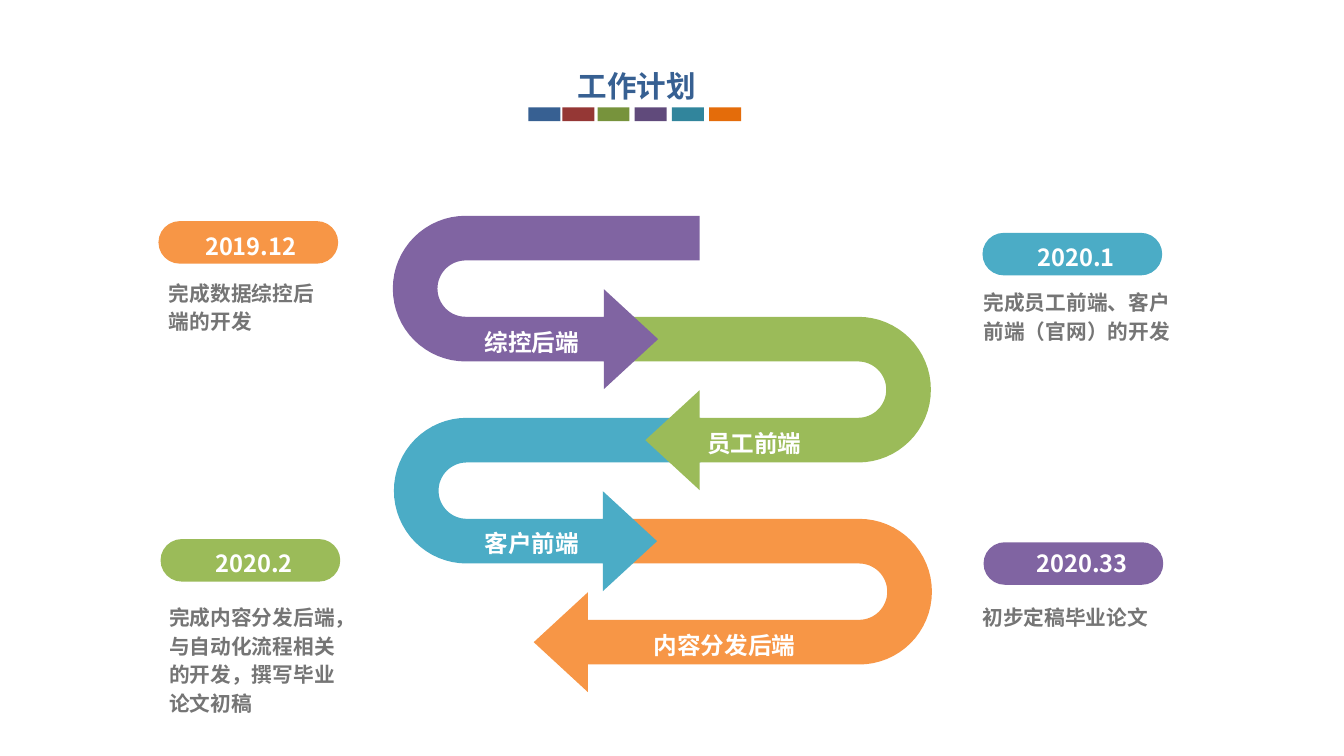
from math import cos, pi, sin

from lxml.etree import SubElement
from pptx import Presentation
from pptx.dml.color import RGBColor
from pptx.enum.shapes import MSO_SHAPE as SHAPE
from pptx.enum.text import PP_ALIGN as ALIGN
from pptx.oxml.ns import qn
from pptx.util import Inches, Pt

FONT = "Noto Sans CJK SC"
COLORS = {
    "navy": "376092", "red": "953735", "olive": "77933C",
    "plum": "604A7B", "sea": "31859C", "rust": "E46C0A",
    "purple": "8064A2", "green": "9BBB59", "teal": "4BACC6",
    "orange": "F79646", "gray": "757575", "white": "FFFFFF",
}

# Ribbon geometry, in inches
BAND = 0.42
TURN_HEIGHT = 1.37
RADIUS = TURN_HEIGHT / 2
HEAD_LENGTH, HEAD_HEIGHT = 0.51, 0.94
FIRST_TOP, STEP = 2.03, 0.95


def paint(sp, color):
    sp.shadow.inherit = False
    sp.fill.solid()
    sp.fill.fore_color.rgb = RGBColor.from_string(COLORS[color])
    sp.line.fill.background()


def add_block(s, kind, x, y, w, h, color):
    sp = s.shapes.add_shape(kind, Inches(x), Inches(y), Inches(w), Inches(h))
    paint(sp, color)
    return sp


def add_label(s, text, x, y, w, h, size, color, align=ALIGN.LEFT):
    box = s.shapes.add_textbox(Inches(x), Inches(y), Inches(w), Inches(h))
    tf = box.text_frame
    tf.word_wrap = True
    tf.margin_left = tf.margin_right = Inches(0.03)
    tf.margin_top = tf.margin_bottom = Inches(0.01)
    tf.text = text
    p = tf.paragraphs[0]
    p.alignment = align
    p.line_spacing = 1.16
    r = p.runs[0]
    r.font.size = Pt(size)
    r.font.bold = True
    r.font.name = FONT
    r.font.color.rgb = RGBColor.from_string(COLORS[color])
    SubElement(r.font._element, qn("a:ea")).set("typeface", FONT)


def half_circle(cx, cy, radius, side, steps=32):
    """Points from top to bottom; side is -1 for left and 1 for right."""
    angles = [pi * i / steps for i in range(steps + 1)]
    return [(cx + side * radius * sin(a), cy - radius * cos(a)) for a in angles]


def add_turn_arrow(s, start, bend, head, top, side, color):
    """U-turn band from start, around bend, to an arrowhead based at head."""
    middle = top + RADIUS
    bottom = top + TURN_HEIGHT
    tip_y = bottom - BAND / 2
    points = [(start, top)]
    points += half_circle(bend, middle, RADIUS, side)
    points += [
        (head, bottom),
        (head, tip_y + HEAD_HEIGHT / 2),
        (head - side * HEAD_LENGTH, tip_y),
        (head, tip_y - HEAD_HEIGHT / 2),
        (head, bottom - BAND),
    ]
    points += reversed(half_circle(bend, middle, RADIUS - BAND, side))
    points.append((start, top + BAND))

    outline = [(Inches(x), Inches(y)) for x, y in points]
    builder = s.shapes.build_freeform(*outline[0])
    builder.add_line_segments(outline[1:], close=True)
    paint(builder.convert_to_shape(), color)


def add_milestone(s, color, pill, date, date_at, text, text_at):
    sp = add_block(s, SHAPE.ROUNDED_RECTANGLE, *pill, 1.69, 0.4, color)
    sp.adjustments[0] = 0.5
    add_label(s, date, *date_at, 1.03, 0.33, 16, "white")
    add_label(s, text, *text_at, 14, "gray")


def main():
    prs = Presentation()
    prs.slide_width, prs.slide_height = Inches(12.64), Inches(7.11)
    s = prs.slides.add_slide(prs.slide_layouts[6])

    # Title with its colour strip
    strip = [(4.97, "navy"), (5.29, "red"), (5.62, "olive"),
             (5.97, "plum"), (6.32, "sea"), (6.67, "rust")]
    for x, color in strip:
        add_block(s, SHAPE.RECTANGLE, x, 1.01, 0.3, 0.13, color)
    add_label(s, "工作计划", 4.6, 0.58, 2.78, 0.42, 20, "navy", ALIGN.CENTER)

    # Winding arrows: start, bend, head base, side, colour, label, label place
    arrows = [
        (6.58, 4.38, 5.68, -1, "purple", "综控后端", (4.53, 3.03)),
        (5.68, 8.07, 6.58, 1, "green", "员工前端", (6.62, 3.98)),
        (6.59, 4.39, 5.67, -1, "teal", "客户前端", (4.53, 4.92)),
        (5.69, 8.08, 5.53, 1, "orange", "内容分发后端", (6.12, 5.88)),
    ]
    # The last arrow lies at the back, so each head covers the next band
    for i, arrow in reversed(list(enumerate(arrows))):
        start, bend, head, side, color, label, place = arrow
        add_turn_arrow(s, start, bend, head, FIRST_TOP + i * STEP, side, color)
        add_label(s, label, *place, 1.56, 0.33, 16, "white")

    # Dated milestones
    add_milestone(s, "orange", (1.49, 2.08), "2019.12", (1.9, 2.13),
                  "完成数据综控后端的开发", (1.56, 2.59, 1.57, 0.57))
    add_milestone(s, "teal", (9.24, 2.19), "2020.1", (9.73, 2.23),
                  "完成员工前端、客户前端（官网）的开发", (9.22, 2.68, 1.85, 0.56))
    add_milestone(s, "green", (1.51, 5.07), "2020.2", (2, 5.11),
                  "完成内容分发后端，与自动化流程相关的开发，撰写毕业论文初稿",
                  (1.56, 5.64, 1.75, 1.1))
    add_milestone(s, "purple", (9.25, 5.1), "2020.33", (9.72, 5.11),
                  "初步定稿毕业论文", (9.21, 5.64, 1.87, 0.28))

    prs.save("out.pptx")


if __name__ == "__main__":
    main()
